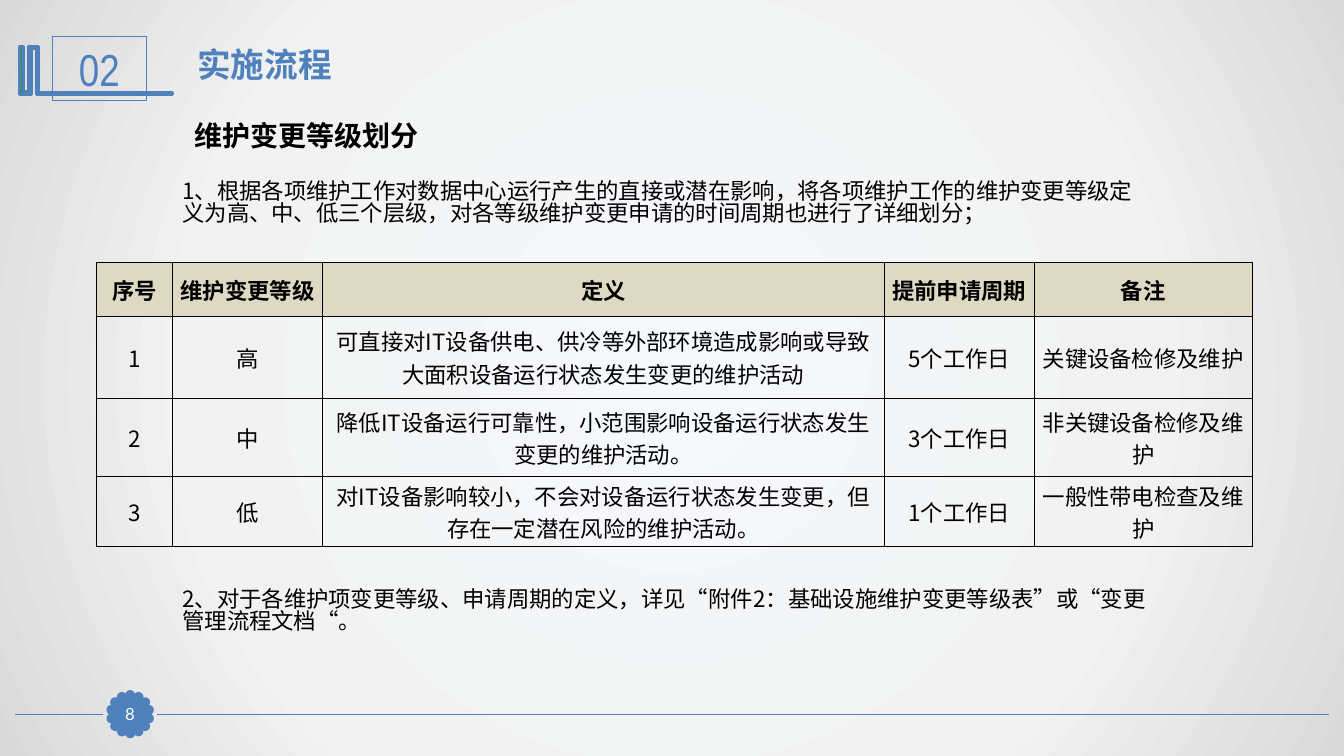
from math import cos, radians, sin

from lxml.etree import SubElement
from pptx import Presentation
from pptx.dml.color import RGBColor
from pptx.enum.shapes import MSO_CONNECTOR, MSO_SHAPE
from pptx.enum.text import MSO_ANCHOR, PP_ALIGN
from pptx.oxml import parse_xml
from pptx.oxml.ns import nsdecls, qn
from pptx.util import Inches, Pt

WIDTH, HEIGHT = Inches(13.33), Inches(7.5)
BLUE, BLACK, WHITE, SAND, GREEN = "4F81BD", "000000", "FFFFFF", "DDD9C3", "339933"
CJK = "Noto Sans CJK SC"
BACKDROP = [(0, "F6F9FC"), (63, "F2F2F2"), (100, "D9D9D9")]

TITLE = dict(name="Lato", size=Pt(24), bold=True)
SUBTITLE = dict(name="Lato", size=Pt(20), bold=True)
BODY = dict(name=CJK, size=Pt(16), bold=False)
HEADER = dict(name="Calibri", size=Pt(16), bold=True)
SECTION = dict(name="Arial Narrow", size=Pt(32))
PAGE = dict(name="Lato", size=Pt(12))
CENTERED = dict(alignment=PP_ALIGN.CENTER)
TIGHT = dict(line_spacing=0.82)
NO_MARGINS = dict(margin_left=0, margin_top=0, margin_right=0, margin_bottom=0)
CELL = dict(margin_left=Inches(0.07), margin_right=Inches(0.07), margin_top=0,
            margin_bottom=0, vertical_anchor=MSO_ANCHOR.MIDDLE)

COLUMNS = [5.63, 11.18, 41.78, 11.18, 16.2]
ROWS = [7.2, 10.8, 10.4, 9.2]
LEVELS = [
    ["序号", "维护变更等级", "定义", "提前申请周期", "备注"],
    ["1", "高", "可直接对IT设备供电、供冷等外部环境造成影响或导致大面积设备运行状态发生变更的维护活动",
     "5个工作日", "关键设备检修及维护"],
    ["2", "中", "降低IT设备运行可靠性，小范围影响设备运行状态发生变更的维护活动。",
     "3个工作日", "非关键设备检修及维护"],
    ["3", "低", "对IT设备影响较小，不会对设备运行状态发生变更，但存在一定潜在风险的维护活动。",
     "1个工作日", "一般性带电检查及维护"],
]
EMBLEM = [(2.78, 6.13), (2.85, 6.13), (2.85, 12.27), (12.83, 12.27), (12.83, 12.53),
          (2.7, 12.53), (2.7, 6.4), (2.33, 6.4), (2.33, 12.53), (1.43, 12.53),
          (1.43, 6.13), (1.73, 6.13), (1.73, 12.13), (2.1, 12.13), (2.1, 6.13)]


def color(code):
    return RGBColor.from_string(code)


def across(percent):
    return round(WIDTH * percent / 100)


def down(percent):
    return round(HEIGHT * percent / 100)


def place(left, top, width, height):
    return across(left), down(top), across(width), down(height)


def apply(target, values):
    for key, value in values.items():
        setattr(target, key, value)


def write(frame, words, font, ink, layout):
    paragraph = frame.paragraphs[0]
    apply(paragraph, layout)
    run = paragraph.add_run()
    run.text = words
    apply(run.font, font)
    run.font.color.rgb = color(ink)
    SubElement(run.font._element, qn("a:ea"), typeface=CJK)


def paint(shape, fill, weight):
    shape.shadow.inherit = False
    if fill:
        shape.fill.solid()
        shape.fill.fore_color.rgb = color(fill)
    else:
        shape.fill.background()
    shape.line.color.rgb = color(BLUE)
    shape.line.width = Pt(weight)


def add_backdrop(slide):
    slide.background.fill.gradient()
    gradient = next(slide.element.iter(qn("a:gradFill")))
    stops = "".join(f'<a:gs pos="{share * 1000}"><a:srgbClr val="{code}"/></a:gs>'
                    for share, code in BACKDROP)
    radial = parse_xml(
        f'<a:gradFill {nsdecls("a")} rotWithShape="1"><a:gsLst>{stops}</a:gsLst>'
        '<a:path path="circle"><a:fillToRect l="50000" t="50000" r="50000" b="50000"/>'
        '</a:path></a:gradFill>')
    gradient.getparent().replace(gradient, radial)


def add_rule(slide, start, end):
    level = down(94.5)
    rule = slide.shapes.add_connector(MSO_CONNECTOR.STRAIGHT, across(start), level,
                                      across(end), level)
    rule.line.color.rgb = color(BLUE)
    rule.line.width = Pt(1.25)
    SubElement(rule._element.spPr, qn("a:effectLst"))


def add_rosette(slide, petals=14):
    for index in range(petals):
        turn = 360 * index / petals
        left = 9.42 + 1.43 * sin(radians(turn))
        top = 94 - 2.53 * cos(radians(turn))
        petal = slide.shapes.add_shape(MSO_SHAPE.OVAL, *place(left, top, 0.53, 0.93))
        petal.rotation = turn
        paint(petal, BLUE, 2)


def add_emblem(slide):
    points = [(across(x), down(y)) for x, y in EMBLEM]
    builder = slide.shapes.build_freeform(*points[0])
    builder.add_line_segments(points[1:], close=True)
    paint(builder.convert_to_shape(), GREEN, 2)


def add_label(slide, area, words, font, ink, fill=None, margins=None):
    label = slide.shapes.add_shape(MSO_SHAPE.RECTANGLE, *place(*area))
    paint(label, fill, 0.75)
    apply(label.text_frame, dict(vertical_anchor=MSO_ANCHOR.MIDDLE, **(margins or {})))
    write(label.text_frame, words, font, ink, CENTERED)


def add_text(slide, area, words, font, ink=BLACK, layout=None, margin_top=0.05):
    frame = slide.shapes.add_textbox(*place(*area)).text_frame
    apply(frame, dict(word_wrap=True, margin_top=Inches(margin_top)))
    write(frame, words, font, ink, layout or {})


def add_borders(cell):
    properties = cell._tc.get_or_add_tcPr()
    for side in ("lnL", "lnR", "lnT", "lnB"):
        properties.append(parse_xml(
            f'<a:{side} {nsdecls("a")} w="12700"><a:solidFill>'
            f'<a:srgbClr val="{BLACK}"/></a:solidFill></a:{side}>'))


def add_levels(slide):
    levels = slide.shapes.add_table(len(ROWS), len(COLUMNS), *place(
        7.2, 34.67, sum(COLUMNS), sum(ROWS))).table
    apply(levels, dict(first_row=False, horz_banding=False))
    for column, share in zip(levels.columns, COLUMNS):
        column.width = across(share)
    for row, share, entries in zip(levels.rows, ROWS, LEVELS):
        row.height = down(share)
        heading = entries is LEVELS[0]
        for cell, words in zip(row.cells, entries):
            apply(cell, CELL)
            add_borders(cell)
            if heading:
                cell.fill.solid()
                cell.fill.fore_color.rgb = color(SAND)
            else:
                cell.fill.background()
            write(cell.text_frame, words, HEADER if heading else BODY, BLACK, CENTERED)


def main():
    deck = Presentation()
    apply(deck, dict(slide_width=WIDTH, slide_height=HEIGHT))
    slide = deck.slides.add_slide(deck.slide_layouts[6])
    add_backdrop(slide)
    add_rule(slide, 98.85, 11.7)
    add_rule(slide, 7.65, 1.13)
    add_rosette(slide)
    add_emblem(slide)
    add_label(slide, (3.9, 4.8, 6.98, 8.53), "02", SECTION, BLUE)
    add_label(slide, (8.48, 92.4, 2.4, 4.13), "8", PAGE, WHITE, BLUE, NO_MARGINS)
    add_text(slide, (13.95, 5.2, 72.68, 6.67), "实施流程", TITLE, BLUE)
    add_text(slide, (13.73, 15.07, 31.28, 5.87), "维护变更等级划分", SUBTITLE)
    add_text(slide, (12.83, 22.8, 73.8, 8.53),
             "1、根据各项维护工作对数据中心运行产生的直接或潜在影响，将各项维护工作的维护变更等级"
             "定义为高、中、低三个层级，对各等级维护变更申请的时间周期也进行了详细划分；",
             BODY, layout=TIGHT, margin_top=0.09)
    add_levels(slide)
    add_text(slide, (12.83, 76.8, 73.8, 8.53),
             "2、对于各维护项变更等级、申请周期的定义，详见“附件2：基础设施维护变更等级表”或"
             "“变更管理流程文档“。", BODY, layout=TIGHT, margin_top=0.09)
    deck.save("out.pptx")


if __name__ == "__main__":
    main()
